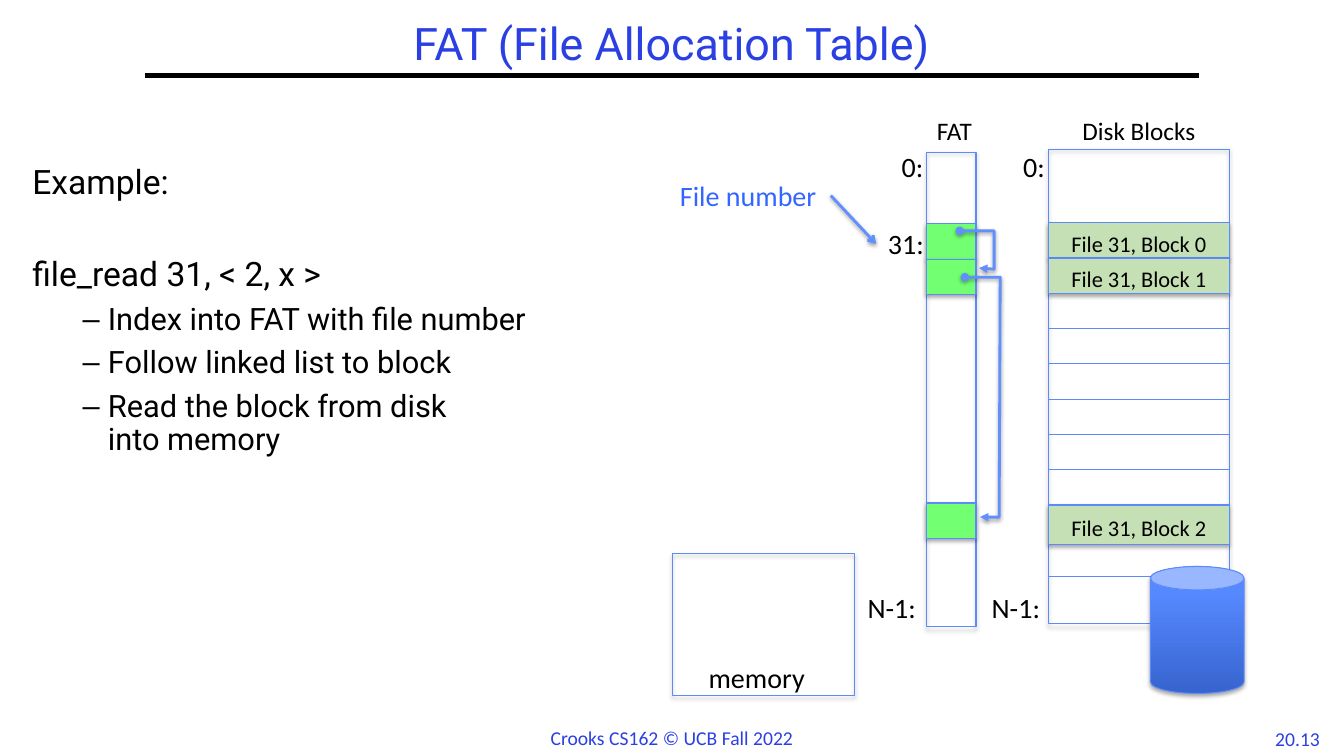
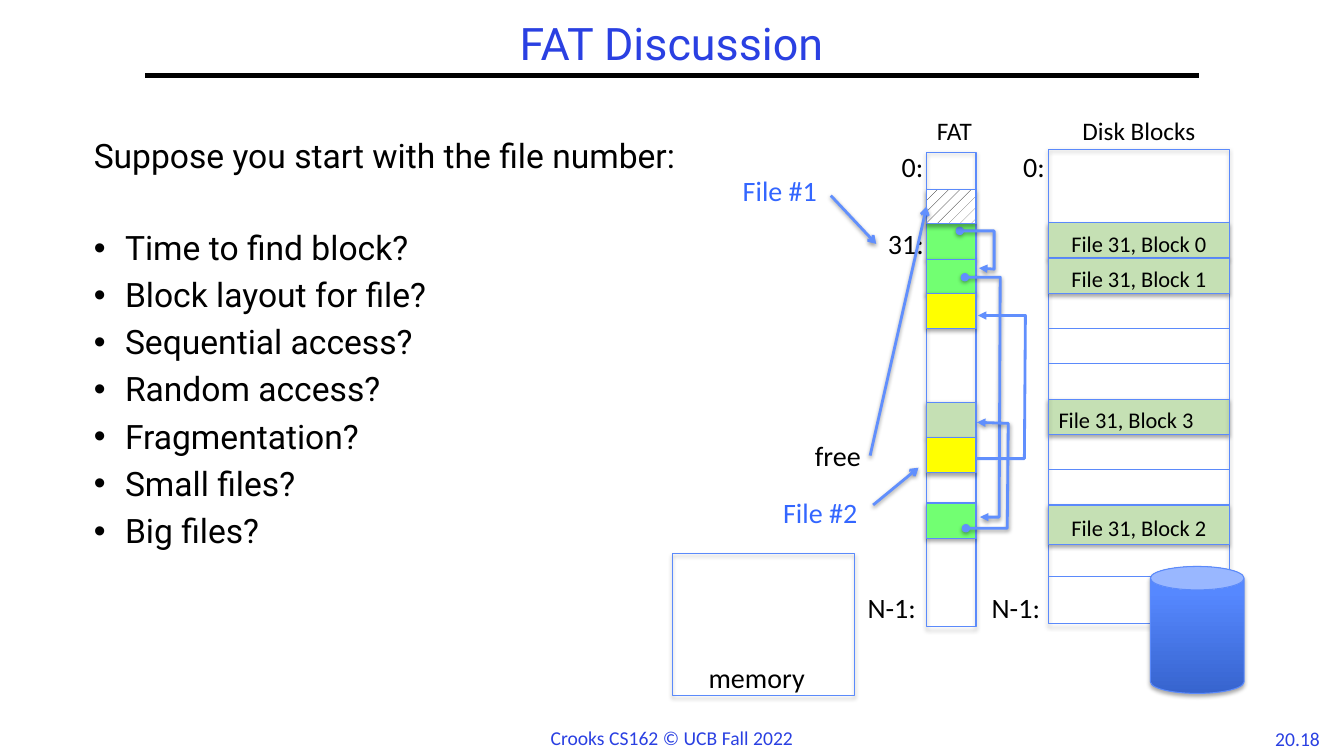
from lxml import etree
from pptx import Presentation
from pptx import util as u
from pptx.dml.color import RGBColor
from pptx.enum import dml, shapes, text
from pptx.oxml.ns import qn

PX = 9144  # 100 px to the inch
HEX = {
    "ink": "000000", "title": "2A40E2", "note": "3366FF", "edge": "5B8AFB",
    "link": "618FFD", "lime": "72FF72", "sage": "C5E0B4", "gold": "FFFF00",
    "white": "FFFFFF", "deep": "3764CE", "sky": "5688FF",
}
KIND = shapes.MSO_SHAPE
MID, LEFT = text.PP_ALIGN.CENTER, text.PP_ALIGN.LEFT
PAD = {"margin_left": 10 * PX, "margin_right": 10 * PX,
       "margin_top": 5 * PX, "margin_bottom": 5 * PX}
HEAD = {**PAD, "word_wrap": True, "auto_size": text.MSO_AUTO_SIZE.NONE,
        "vertical_anchor": text.MSO_ANCHOR.MIDDLE}
BODY = {**HEAD, "vertical_anchor": text.MSO_ANCHOR.TOP}
TAG = {**BODY, "word_wrap": False}
CELL = {**HEAD, "margin_top": 6 * PX, "margin_bottom": 0}
FAT, DISK = (919, 49), (1040, 179)  # left, width
ROW = 35


# Helpers
def color(name):
    return RGBColor.from_string(HEX[name])


def put(obj, vals):
    for key, val in vals.items():
        setattr(obj, key, val)


def place(obj, box):
    put(obj, dict(zip(("left", "top", "width", "height"), (n * PX for n in box))))


def write(par, words, size, ink="ink", face="Calibri", **vals):
    par.text = words
    put(par, vals)
    for run in par.runs:
        put(run.font, {"size": u.Pt(size), "name": face})
        run.font.color.rgb = color(ink)


def effect(obj, alpha=0, dist=1.8):
    fx = etree.SubElement(obj._element.spPr, qn("a:effectLst"))
    if alpha:
        cast = etree.SubElement(fx, qn("a:outerShdw"), blurRad=str(u.Pt(3.1)),
                                dist=str(u.Pt(dist)), dir="5400000", rotWithShape="0")
        tint = etree.SubElement(cast, qn("a:srgbClr"), val=HEX["ink"])
        etree.SubElement(tint, qn("a:alpha"), val=str(alpha * 1000))


def stroke(obj, ink, width, head=None, tail=None):
    obj.line.color.rgb = color(ink)
    obj.line.width = u.Pt(width)
    ln = obj._element.spPr.find(qn("a:ln"))
    for end, kind in (("a:headEnd", head), ("a:tailEnd", tail)):
        if kind:
            etree.SubElement(ln, qn(end), type=kind)


# Kinds of element
def label(slide, words, box, size=20, ink="ink", align=MID):
    obj = slide.shapes.add_textbox(*(n * PX for n in box))
    put(obj.text_frame, TAG)
    write(obj.text_frame.paragraphs[0], words, size, ink, alignment=align)
    return obj


def block(slide, box, fill=None, kind=KIND.RECTANGLE, shade=True):
    obj = slide.shapes.add_shape(kind, *(n * PX for n in box))
    if fill:
        obj.fill.solid()
        obj.fill.fore_color.rgb = color(fill)
    else:
        obj.fill.background()
    stroke(obj, "edge", 0.75)
    effect(obj, 35 if shade else 0)
    return obj


def cell(slide, top, fill, high=ROW):
    return block(slide, (FAT[0], top, FAT[1], high), fill)


def row_top(row):
    return 221 + row * 351 // 10


def stored(slide, row, num, high=ROW, align=MID):
    obj = block(slide, (DISK[0], row_top(row), DISK[1], high), "sage")
    put(obj.text_frame, CELL)
    write(obj.text_frame.paragraphs[0], f"File 31, Block {num}", 16, alignment=align)


def line(slide, ends, ink="link", width=2, tail="arrow", shade=38):
    obj = slide.shapes.add_connector(shapes.MSO_CONNECTOR.STRAIGHT,
                                     *(n * PX for n in ends))
    stroke(obj, ink, width, tail=tail)
    effect(obj, shade, 1.6)
    return obj


def link(slide, pts, head="oval", shade=38):
    pen = slide.shapes.build_freeform(*pts[0], scale=PX)
    pen.add_line_segments(pts[1:], close=False)
    obj = pen.convert_to_shape()
    obj.fill.background()
    stroke(obj, "link", 2, head, "triangle")
    effect(obj, shade, 1.6)


def body(slide, box, items):
    """Each item is words, size, space before, bullet, left edge, hang."""
    obj = slide.placeholders[1]
    place(obj, box)
    frame = obj.text_frame
    put(frame, BODY)
    for i, (words, size, gap, mark, edge, hang) in enumerate(items):
        par = frame.paragraphs[0] if i == 0 else frame.add_paragraph()
        props = par._p.get_or_add_pPr()
        props.set("marL", str(edge * PX))
        props.set("indent", str(-hang * PX))
        if mark:
            etree.SubElement(props, qn("a:buChar"), char=mark)
        else:
            etree.SubElement(props, qn("a:buNone"))
        write(par, words, size, face="Roboto", alignment=LEFT, line_spacing=0.9,
              space_before=u.Pt(gap), level=1 if mark == "–" else 0)


# Shared slide parts
def start(deck, title, page):
    slide = deck.slides.add_slide(deck.slide_layouts[1])
    head = slide.shapes.title
    place(head, (144, 17, 1044, 58))
    put(head.text_frame, HEAD)
    write(head.text_frame.paragraphs[0], title, 32, "title", "Roboto",
          alignment=MID, line_spacing=0.9)
    line(slide, (144, 75, 1189, 75), "ink", 3, None, 0)
    label(slide, "Crooks CS162 © UCB Fall 2022", (535, 715, 263, 34), 14, "title")
    label(slide, page, (1253, 716, 68, 33), 14, "title")
    return slide


def diagram(slide, name, box):
    # Disk blocks
    block(slide, (DISK[0], 148, DISK[1], 471))
    for row in (2, 3, 4, 6, 7):
        block(slide, (DISK[0], row_top(row), DISK[1], ROW), shade=False)
    block(slide, (DISK[0], 540, DISK[1], 32), shade=False)
    for row, num, high in ((0, 0, ROW), (1, 1, ROW), (8, 2, 39)):
        stored(slide, row, num, high)
    # Allocation table
    block(slide, (FAT[0], 151, FAT[1], 471))
    for top in (222, 257, 499):
        cell(slide, top, "lime")
    # Labels
    for words, spot, size in (
            ("Disk Blocks", (1044, 109, 171, 40), 18), ("FAT", (914, 109, 65, 40), 18),
            ("0:", (883, 143, 44, 44), 20), ("0:", (1002, 143, 47, 44), 20),
            ("N-1:", (848, 581, 73, 44), 20), ("N-1:", (970, 581, 75, 44), 20)):
        label(slide, words, spot, size)
    entry = label(slide, "31:", (869, 220, 59, 44))
    label(slide, name, box, ink="note")
    line(slide, (824, 194, 870, 242)).end_connect(entry, 1)
    # Memory and disk
    block(slide, (667, 549, 181, 141))
    label(slide, "memory", (690, 650, 121, 44))
    can = block(slide, (1141, 562, 93, 126), "sky", KIND.CAN)
    can.fill.gradient()
    can.fill.gradient_angle = 90
    for stop, ink, pos in zip(can.fill.gradient_stops, ("deep", "sky"), (0, 0.8)):
        stop.color.rgb = color(ink)
        stop.position = pos
    # Chain of file 31
    link(slide, [(952, 229), (986, 229), (986, 267), (971, 266)])
    link(slide, [(957, 275), (992, 275), (991, 513), (972, 513)])


def example(deck):
    slide = start(deck, "FAT (File Allocation Table)", "20.13")
    steps = ("Index into FAT with file number", "Follow linked list to block",
             "Read the block from disk \vinto memory")
    body(slide, (22, 159, 651, 558),
         [("Example:", 24, 0, None, 0, 0), ("file_read 31, < 2, x >", 24, 40, None, 0, 0)]
         + [(step, 22, 7.2, "–", 75, 25) for step in steps])
    diagram(slide, "File number", (658, 172, 168, 44))


def discuss(deck):
    slide = start(deck, "FAT Discussion", "20.18")
    asks = ("Time to find block?", "Block layout for file?", "Sequential access?",
            "Random access?", "Fragmentation?", "Small files?", "Big files?")
    body(slide, (83, 133, 597, 509),
         [("Suppose you start with the file number:", 24, 0, None, 0, 0)]
         + [(ask, 24, 7.8 if i else 40, "•", 31, 31) for i, ask in enumerate(asks)])
    stored(slide, 5, 3, align=LEFT)
    diagram(slide, "File #1", (721, 167, 105, 44))
    # Added table entries
    for top, fill in ((399, "sage"), (434, "gold"), (291, "gold")):
        cell(slide, top, fill)
    free = cell(slide, 188, "white", 34)
    free.fill.patterned()
    free.fill.pattern = dml.MSO_PATTERN.PERCENT_10
    free.fill.fore_color.rgb = color("ink")
    free.fill.back_color.rgb = color("white")
    # Added links and labels
    link(slide, [(958, 524), (999, 524), (1000, 420), (969, 419)])
    link(slide, [(968, 455), (1016, 455), (1017, 313), (970, 313)], None, 0)
    label(slide, "free", (797, 430, 68, 44))
    line(slide, (863, 452, 919, 205)).end_connect(free, 1)
    label(slide, "File #2", (761, 487, 105, 44), ink="note")
    line(slide, (866, 501, 911, 464))


def main():
    deck = Presentation()
    put(deck, {"slide_width": 1333 * PX, "slide_height": 750 * PX})
    example(deck)
    discuss(deck)
    deck.save("out.pptx")


if __name__ == "__main__":
    main()
